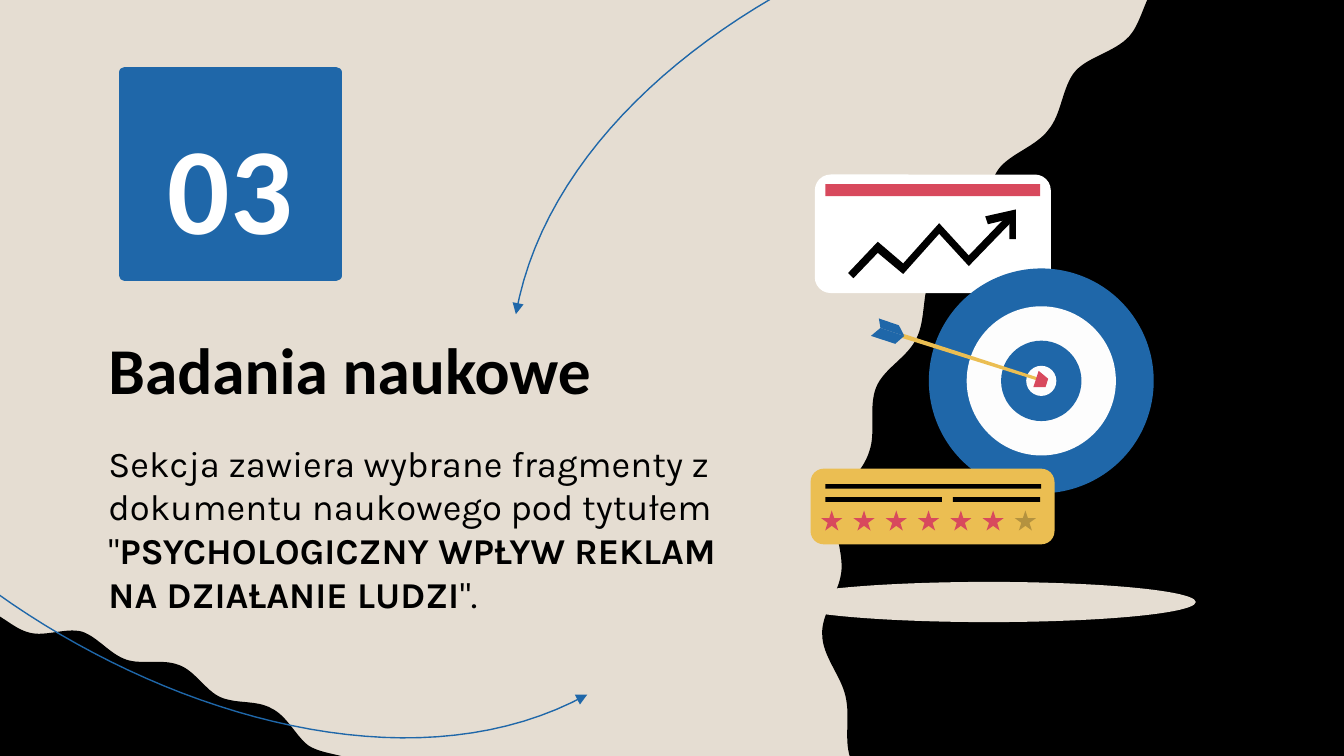
from lxml.etree import SubElement
from pptx import Presentation
from pptx.dml.color import RGBColor
from pptx.enum.shapes import MSO_SHAPE
from pptx.enum.text import MSO_ANCHOR, PP_ALIGN
from pptx.oxml.ns import qn
from pptx.util import Cm, Pt

COLORS = {"sand": "E5DDD2", "black": "000000", "blue": "1F67A9", "white": "FFFFFF",
          "paper": "FDFDFD", "red": "D8495D", "yellow": "EBBE52"}
HEADING, BODY = "Calibri", "Karla"


def rgb(name):
    return RGBColor.from_string(COLORS[name])


def bezier(points, steps=16):
    """Flatten a chain of cubic curves: a start, then three points per curve."""
    line = [points[0]]
    for i in range(0, len(points) - 1, 3):
        for k in range(1, steps + 1):
            t = k / steps
            weights = ((1 - t) ** 3, 3 * t * (1 - t) ** 2, 3 * t * t * (1 - t), t ** 3)
            line.append(tuple(sum(w * pt[axis] for w, pt in zip(weights, points[i:i + 4]))
                              for axis in (0, 1)))
    return line


class Canvas:
    """Holds the style and the slide; shapes go to the slide or the open group."""

    def __init__(self, prs):
        self.s = prs.slides.add_slide(prs.slide_layouts[5])
        self.s.background.fill.solid()
        self.s.background.fill.fore_color.rgb = rgb("sand")
        self.shapes = self.s.shapes

    def open_group(self):
        self.shapes = self.s.shapes.add_group_shape().shapes

    def paint(self, sp, color):
        sp.shadow.inherit = False
        sp.fill.solid()
        sp.fill.fore_color.rgb = rgb(color)
        sp.line.fill.background()
        return sp

    def shape(self, kind, x, y, w, h, color, radius=None):
        sp = self.shapes.add_shape(kind, Cm(x), Cm(y), Cm(w), Cm(h))
        if radius is not None:
            sp.adjustments[0] = radius / min(w, h)
        return self.paint(sp, color)

    def outline(self, points, close=True):
        pts = [(Cm(x), Cm(y)) for x, y in points]
        builder = self.shapes.build_freeform(*pts[0], scale=1.0)
        builder.add_line_segments(pts[1:], close=close)
        return builder.convert_to_shape()

    def polygon(self, points, color):
        return self.paint(self.outline(points), color)

    def curved_arrow(self, points):
        sp = self.outline(bezier(points, 40), close=False)
        sp.shadow.inherit = False
        sp.fill.background()
        sp.line.color.rgb = rgb("blue")
        sp.line.width = Pt(0.75)
        SubElement(sp.line._get_or_add_ln(), qn("a:tailEnd"), type="triangle")

    def format_text(self, sp, size, font, color, bold=False, align=PP_ALIGN.LEFT,
                    anchor=MSO_ANCHOR.MIDDLE, spacing=1.15):
        tf = sp.text_frame
        tf.word_wrap = True
        tf.vertical_anchor = anchor
        tf.margin_left = tf.margin_right = tf.margin_top = tf.margin_bottom = Cm(0.25)
        p = tf.paragraphs[0]
        p.alignment, p.line_spacing = align, spacing
        for r in p.runs:
            r.font.size, r.font.name, r.font.bold = Pt(size), font, bold
            r.font.color.rgb = rgb(color)

    def title(self, text, x, y, w, h):
        sp = self.s.shapes.title
        sp.left, sp.top, sp.width, sp.height = Cm(x), Cm(y), Cm(w), Cm(h)
        sp.text_frame.text = text
        self.format_text(sp, 35, HEADING, "black", bold=True)

    def number(self, text, x, y, w, h):
        sp = self.shape(MSO_SHAPE.RECTANGLE, x, y, w, h, "blue")
        sp.line.color.rgb = rgb("blue")
        sp.line.width = Pt(6)
        sp.text_frame.text = text
        self.format_text(sp, 66, HEADING, "white", bold=True, align=PP_ALIGN.CENTER)

    def body(self, parts, x, y, w, h):
        """Add a paragraph whose every second part is bold."""
        sp = self.shapes.add_textbox(Cm(x), Cm(y), Cm(w), Cm(h))
        p = sp.text_frame.paragraphs[0]
        for part in parts:
            p.add_run().text = part
        self.format_text(sp, 19.5, BODY, "black", anchor=MSO_ANCHOR.TOP, spacing=1.0)
        for r in p.runs[1::2]:
            r.font.bold = True


LEFT_WAVE = [
    (-0.33, 11.51), (-0.03, 11.56), (0.25, 11.89), (0.56, 11.96),
    (0.86, 12.04), (1.24, 11.86), (1.55, 11.94), (1.85, 12.04), (2.08, 12.37), (2.39, 12.47),
    (2.69, 12.57), (3.07, 12.45), (3.38, 12.57), (3.68, 12.67), (3.89, 13.06), (4.17, 13.18),
    (4.47, 13.31), (4.85, 13.23), (5.13, 13.39), (5.44, 13.54), (5.59, 13.92), (5.84, 14.1),
    (6.12, 14.27), (6.53, 14.25), (6.78, 14.43)]
RIGHT_WAVE = [
    (21.92, -0.38), (21.64, -0.1), (21.59, 0.41), (21.34, 0.69),
    (21.06, 0.99), (20.57, 1.07), (20.32, 1.35), (20.07, 1.65), (20.07, 2.16), (19.81, 2.46),
    (19.58, 2.77), (19.1, 2.9), (18.87, 3.2), (18.64, 3.53), (18.69, 4.04), (18.47, 4.37),
    (18.26, 4.7), (17.81, 4.88), (17.6, 5.21), (17.42, 5.54), (17.5, 6.05), (17.32, 6.4),
    (17.15, 6.76), (16.71, 6.96), (16.56, 7.32), (16.41, 7.7), (16.56, 8.18), (16.43, 8.53),
    (16.31, 8.94), (15.9, 9.22), (15.82, 9.58), (15.72, 9.98), (15.95, 10.44), (15.9, 10.82),
    (15.85, 11.23), (15.52, 11.61), (15.54, 11.99), (15.54, 12.4), (15.9, 12.78), (15.98, 13.16),
    (16.08, 13.56), (15.93, 14.05), (16.1, 14.4)]
TREND = [(19.1, 4.01), (18.31, 4.83), (17.75, 4.22), (17.07, 4.98), (16.59, 4.57), (16.03, 5.16),
         (16.13, 5.26), (16.59, 4.78), (17.07, 5.18), (17.75, 4.42), (18.31, 5.03), (19.2, 4.11)]
TREND_HEAD = [(19.2, 3.96), (18.62, 4.09), (18.67, 4.24), (19.08, 4.14), (19.08, 4.52),
              (19.2, 4.52)]
DART = [
    ([(17.04, 6.3), (19.69, 7.16), (19.69, 7.22), (17.02, 6.38)], "yellow"),
    ([(19.63, 7.01), (19.81, 7.16), (19.76, 7.32), (19.53, 7.32)], "red"),
    ([(16.61, 6.02), (16.99, 6.15), (17.09, 6.35), (16.64, 6.2)], "blue"),
    ([(16.64, 6.2), (17.09, 6.35), (16.92, 6.5), (16.46, 6.35)], "blue")]


def draw_illustration(c):
    c.open_group()
    c.shape(MSO_SHAPE.ROUNDED_RECTANGLE, 15.4, 3.3, 4.46, 2.24, "white", radius=0.3)
    c.shape(MSO_SHAPE.RECTANGLE, 15.6, 3.48, 4.06, 0.23, "red")
    c.polygon(TREND, "black")
    c.polygon(TREND_HEAD, "black")

    for d, color in ((4.25, "blue"), (2.82, "paper"), (1.52, "blue"), (0.57, "paper")):
        c.shape(MSO_SHAPE.OVAL, 19.68 - d / 2, 7.2 - d / 2, d, d, color)
    for points, color in DART:
        c.polygon(points, color)

    c.shape(MSO_SHAPE.ROUNDED_RECTANGLE, 15.32, 8.86, 4.61, 1.43, "yellow", radius=0.25)
    for x, y, w in ((15.6, 9.15, 4.08), (18.01, 9.4, 1.65), (15.6, 9.4, 2.2)):
        c.shape(MSO_SHAPE.RECTANGLE, x, y, w, 0.09, "black")
    stars = [c.shape(MSO_SHAPE.STAR_5_POINT, 15.52 + 0.61 * i, 9.65, 0.4, 0.38,
                     "red" if i < 6 else "black") for i in range(7)]
    faded = stars[-1].fill._xPr.find(qn("a:solidFill"))[0]
    SubElement(faded, qn("a:alpha"), val="23000")
    c.shape(MSO_SHAPE.OVAL, 14.78, 11, 7.82, 0.76, "sand")


def main():
    prs = Presentation()
    prs.slide_width, prs.slide_height = Cm(25.4), Cm(14.29)
    c = Canvas(prs)
    c.polygon(bezier(LEFT_WAVE) + [(-0.33, 14.43)], "black")
    c.curved_arrow([(-1.63, 9.91), (1.5, 12.95), (7.26, 15.24), (11.1, 13.13)])
    c.polygon(bezier(RIGHT_WAVE) + [(25.4, 14.4), (25.4, -0.38)], "black")
    c.title("Badania naukowe", 1.8, 5.61, 12.52, 2.49)
    c.number("03", 2.36, 1.37, 3.99, 3.84)
    c.body(["Sekcja zawiera wybrane fragmenty z dokumentu naukowego pod tytułem \"",
            "PSYCHOLOGICZNY WPŁYW REKLAM NA DZIAŁANIE LUDZI", "\"."], 1.8, 8.08, 12.52, 4.62)
    c.curved_arrow([(20.24, -1.98), (15.9, -1.45), (10.52, 1.63), (9.75, 5.94)])
    draw_illustration(c)
    prs.save("out.pptx")


if __name__ == "__main__":
    main()
